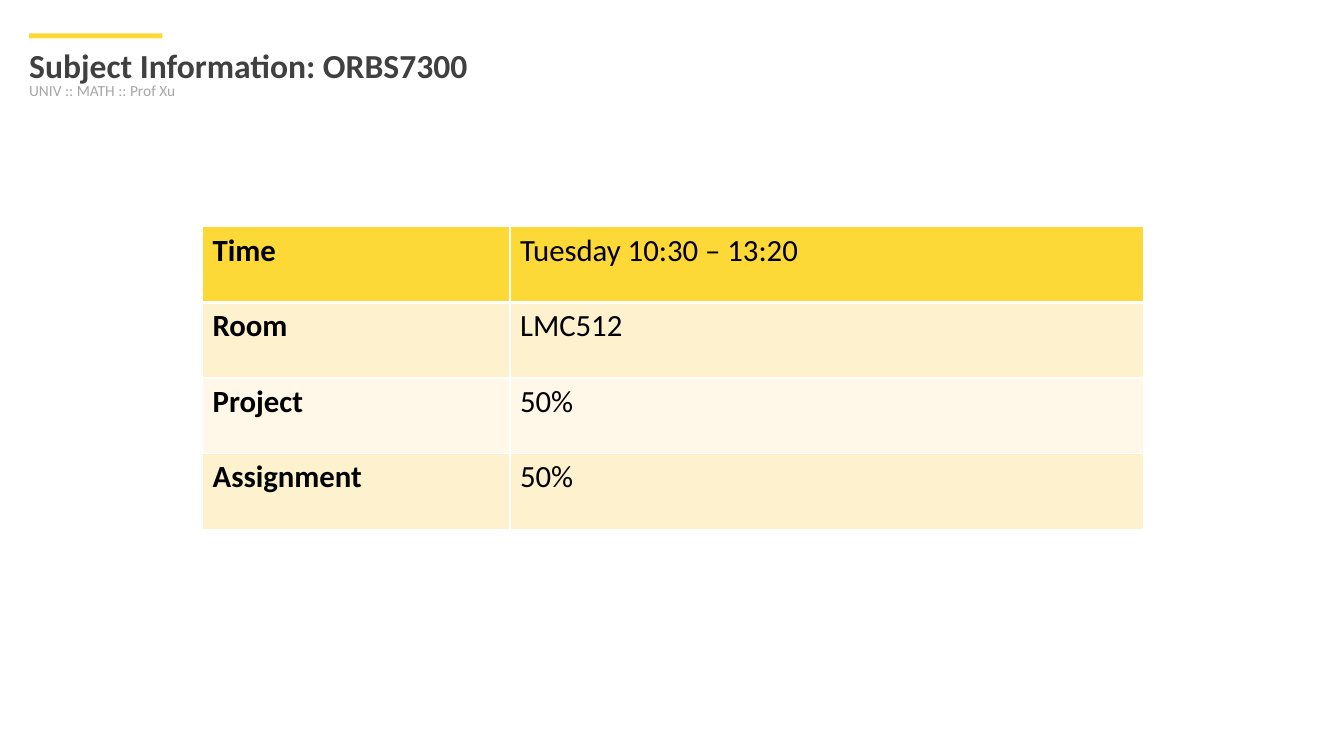
from dataclasses import dataclass
from lxml import etree
from pptx import Presentation
from pptx.dml.color import RGBColor
from pptx.enum.shapes import MSO_SHAPE
from pptx.enum.text import MSO_ANCHOR, MSO_AUTO_SIZE, PP_ALIGN
from pptx.oxml.ns import qn
from pptx.util import Pt

TITLE = "Subject Information: ORBS7300"
BYLINE = "UNIV :: MATH :: Prof Xu"
SUBJECT_ROWS = [
    ("Time", "Tuesday 10:30 – 13:20"),
    ("Room", "LMC512"),
    ("Project", "50%"),
    ("Assignment", "50%"),
]

RECTANGLE = MSO_SHAPE.RECTANGLE
TOP = MSO_ANCHOR.TOP
LEFT = PP_ALIGN.LEFT
NO_AUTOSIZE = MSO_AUTO_SIZE.NONE
TITLE_ONLY = 5


@dataclass(frozen=True)
class Theme:
    font: str = "Calibri"
    accent: str = "FDD938"
    bands: tuple = ("FEF1CE", "FFF8E8")
    border: str = "FFFFFF"
    title: str = "404040"
    byline: str = "A6A6A6"
    ink: str = "000000"
    title_size: int = 24
    byline_size: int = 11
    cell_size: int = 22


THEME = Theme()
SLIDE_SIZE = (960, 540)
ACCENT_BAR = (20.88, 23.76, 95.04, 3.6)
TITLE_BOX = (13.68, 28.8, 330.5, 36)
BYLINE_BOX = (13.68, 54.72, 262, 20.88)
TABLE_ORIGIN = (144.72, 162)
COLUMN_WIDTHS = (219.6, 452.9)
ROW_HEIGHT = 54


def points(values):
    return [Pt(value) for value in values]


def write(frame, text, size, color, bold=False):
    frame.text = text
    para = frame.paragraphs[0]
    para.alignment = LEFT
    span = para.runs[0]
    span.font.name = THEME.font
    span.font.size = Pt(size)
    span.font.bold = bold
    span.font.color.rgb = RGBColor.from_string(color)


def place_text(box, bounds, wrap, text, size, color, bold=False):
    box.left, box.top, box.width, box.height = points(bounds)
    frame = box.text_frame
    frame.word_wrap = wrap
    frame.auto_size = NO_AUTOSIZE
    frame.vertical_anchor = TOP
    write(frame, text, size, color, bold)


def add_borders(cell, bottom_width):
    properties = cell._tc.get_or_add_tcPr()
    for side, width in (("L", 1), ("R", 1), ("T", 1), ("B", bottom_width)):
        line = etree.SubElement(properties, qn(f"a:ln{side}"), w=str(Pt(width)))
        fill = etree.SubElement(line, qn("a:solidFill"))
        etree.SubElement(fill, qn("a:srgbClr"), val=THEME.border)


def add_subject_table(page):
    size = (sum(COLUMN_WIDTHS), ROW_HEIGHT * len(SUBJECT_ROWS))
    table = page.shapes.add_table(
        len(SUBJECT_ROWS), len(COLUMN_WIDTHS), *points(TABLE_ORIGIN + size)
    ).table
    for column, width in zip(table.columns, COLUMN_WIDTHS):
        column.width = Pt(width)
    for row_index, texts in enumerate(SUBJECT_ROWS):
        is_header = row_index == 0
        color = THEME.accent if is_header else THEME.bands[(row_index - 1) % 2]
        for column_index, text in enumerate(texts):
            cell = table.cell(row_index, column_index)
            add_borders(cell, 3 if is_header else 1)
            cell.fill.solid()
            cell.fill.fore_color.rgb = RGBColor.from_string(color)
            write(cell.text_frame, text, THEME.cell_size, THEME.ink, column_index == 0)


def main():
    deck = Presentation()
    deck.slide_width, deck.slide_height = points(SLIDE_SIZE)
    page = deck.slides.add_slide(deck.slide_layouts[TITLE_ONLY])

    bar = page.shapes.add_shape(RECTANGLE, *points(ACCENT_BAR))
    bar.shadow.inherit = False
    bar.fill.solid()
    bar.fill.fore_color.rgb = RGBColor.from_string(THEME.accent)
    bar.line.fill.background()

    place_text(page.shapes.title, TITLE_BOX, False, TITLE,
               THEME.title_size, THEME.title, True)
    byline = page.shapes.add_textbox(*points(BYLINE_BOX))
    place_text(byline, BYLINE_BOX, True, BYLINE, THEME.byline_size, THEME.byline)
    add_subject_table(page)
    deck.save("out.pptx")


if __name__ == "__main__":
    main()
